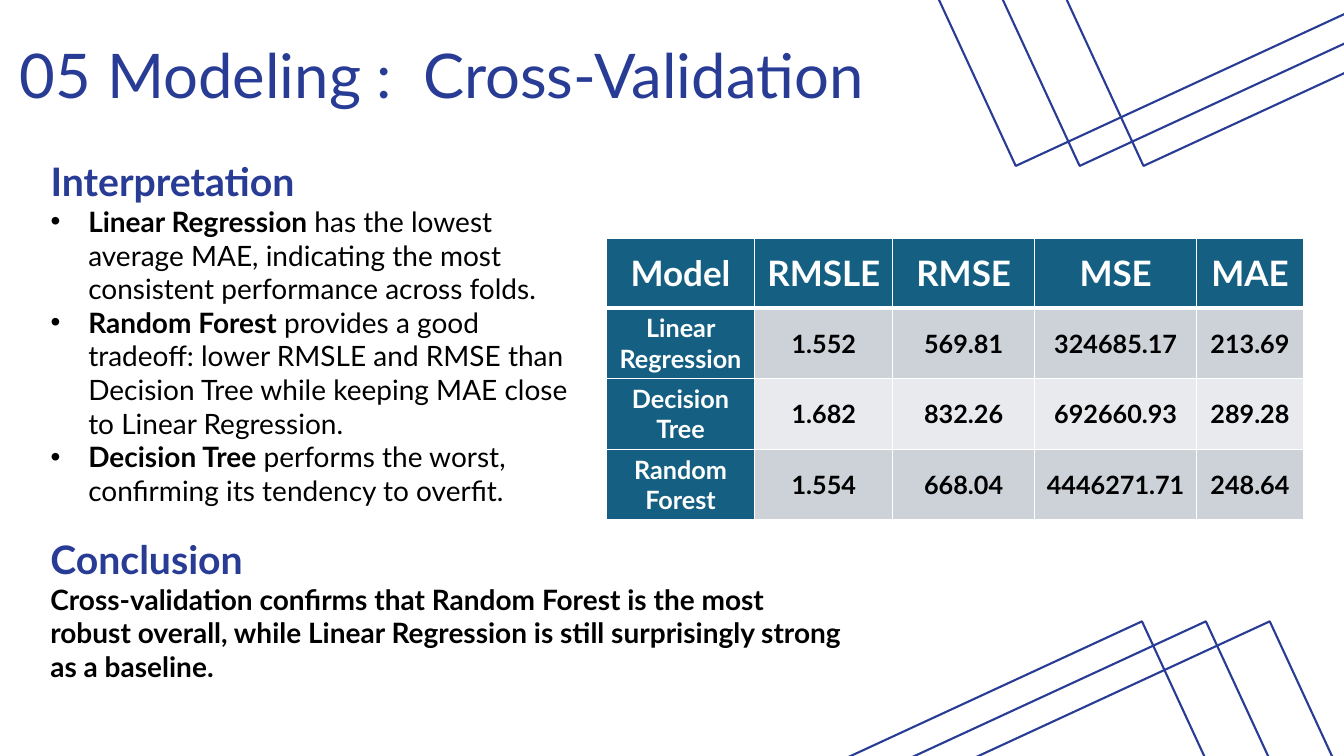
from lxml import etree
from pptx import Presentation
from pptx.dml.color import RGBColor
from pptx.enum.shapes import MSO_SHAPE
from pptx.enum.text import MSO_ANCHOR, MSO_AUTO_SIZE, PP_ALIGN
from pptx.oxml.ns import qn
from pptx.util import Cm, Pt

NAVY = RGBColor(0x28, 0x3C, 0x95)
TEAL = RGBColor(0x15, 0x60, 0x82)
GREY = RGBColor(0xCC, 0xD2, 0xD8)
PALE = RGBColor(0xE8, 0xEA, 0xED)
BLACK = RGBColor(0, 0, 0)
WHITE = RGBColor(0xFF, 0xFF, 0xFF)

LEFT, CENTER = PP_ALIGN.LEFT, PP_ALIGN.CENTER
MIDDLE, TOP = MSO_ANCHOR.MIDDLE, MSO_ANCHOR.TOP
NO_AUTOFIT = MSO_AUTO_SIZE.NONE
RECTANGLE = MSO_SHAPE.RECTANGLE

TITLE_FORMAT = {"size": Pt(44), "bold": False}
HEADING_FORMAT = {"size": Pt(28), "bold": True}
STRONG_FORMAT = {"size": Pt(20), "bold": True}
PLAIN_FORMAT = {"size": Pt(20), "bold": False}
HEADER_FORMAT = {"size": Pt(25), "bold": True}
CELL_FORMAT = {"size": Pt(18), "bold": True}

FINDINGS = [
    ("Linear Regression", " has the lowest average MAE, indicating the most "
     "consistent performance across folds."),
    ("Random Forest", " provides a good tradeoff: lower RMSLE and RMSE than "
     "Decision Tree while keeping MAE close to Linear Regression."),
    ("Decision Tree", " performs the worst, confirming its tendency to overfit."),
]
CONCLUSION = ("Cross-validation confirms that Random Forest is the most robust overall, "
              "while Linear Regression is still surprisingly strong as a baseline.")
SCORES = [
    ("Model", "RMSLE", "RMSE", "MSE", "MAE"),
    ("Linear Regression", "1.552", "569.81", "324685.17", "213.69"),
    ("Decision Tree", "1.682", "832.26", "692660.93", "289.28"),
    ("Random Forest", "1.554", "668.04", "4446271.71", "248.64"),
]
COLUMN_WIDTHS = (3.74, 3.48, 3.57, 4.09, 2.68)
ROW_HEIGHT = 1.76


def place(shape, left, top, width, height):
    shape.left, shape.top = Cm(left), Cm(top)
    shape.width, shape.height = Cm(width), Cm(height)


def add_run(paragraph, text, color, text_format):
    run = paragraph.add_run()
    run.text = text
    run.font.name = "Lato"
    run.font.color.rgb = color
    for name, value in text_format.items():
        setattr(run.font, name, value)


def format_paragraph(paragraph, alignment=LEFT, line_spacing=1.0):
    values = {"alignment": alignment, "line_spacing": line_spacing,
              "space_before": Pt(0), "space_after": Pt(0)}
    for name, value in values.items():
        setattr(paragraph, name, value)


def set_bullet(paragraph, character=None, indent=0.0):
    """Give the paragraph a hanging bullet, or none without a character."""
    properties = paragraph._p.get_or_add_pPr()
    properties.set("marL", str(Cm(indent)))
    properties.set("indent", str(-Cm(indent)))
    if character:
        font = etree.SubElement(properties, qn("a:buFont"))
        font.set("typeface", "Arial")
        etree.SubElement(properties, qn("a:buChar")).set("char", character)
    else:
        etree.SubElement(properties, qn("a:buNone"))


def add_title(slide, text):
    title = slide.shapes.title
    place(title, 0.25, 0.15, 30, 3.68)
    title.text_frame.vertical_anchor = MIDDLE
    title.text_frame.auto_size = NO_AUTOFIT
    paragraph = title.text_frame.paragraphs[0]
    format_paragraph(paragraph, line_spacing=0.9)
    add_run(paragraph, text, NAVY, TITLE_FORMAT)


def start_section(shape, heading):
    """Set up the text frame, write its heading and return the frame."""
    frame = shape.text_frame
    frame.word_wrap = True
    frame.auto_size = NO_AUTOFIT
    frame.vertical_anchor = TOP
    paragraph = frame.paragraphs[0]
    set_bullet(paragraph)
    format_paragraph(paragraph)
    add_run(paragraph, heading, NAVY, HEADING_FORMAT)
    return frame


def add_interpretation(slide):
    body = slide.placeholders[1]
    place(body, 1.02, 3.84, 13.72, 9.14)
    frame = start_section(body, "Interpretation")
    for model, finding in FINDINGS:
        paragraph = frame.add_paragraph()
        set_bullet(paragraph, "•", 0.95)
        format_paragraph(paragraph)
        add_run(paragraph, model, BLACK, STRONG_FORMAT)
        add_run(paragraph, finding, BLACK, PLAIN_FORMAT)


def add_conclusion(slide):
    box = slide.shapes.add_textbox(Cm(1.02), Cm(13.36), Cm(20.45), Cm(4.01))
    paragraph = start_section(box, "Conclusion").add_paragraph()
    format_paragraph(paragraph)
    add_run(paragraph, CONCLUSION, BLACK, STRONG_FORMAT)


def set_borders(cell, top, bottom):
    """Draw white cell borders; top and bottom are widths in points."""
    properties = cell._tc.get_or_add_tcPr()
    for side, width in (("L", 1), ("R", 1), ("T", top), ("B", bottom)):
        line = etree.SubElement(properties, qn(f"a:ln{side}"))
        line.set("w", str(Pt(width)))
        fill = etree.SubElement(line, qn("a:solidFill"))
        etree.SubElement(fill, qn("a:srgbClr")).set("val", str(WHITE))


def fill_cell(cell, text, row, column):
    is_label = row == 0 or column == 0
    set_borders(cell, top=3 if row == 1 else 1, bottom=3 if row == 0 else 1)
    cell.fill.solid()
    cell.fill.fore_color.rgb = TEAL if is_label else (GREY if row % 2 else PALE)
    cell.vertical_anchor = MIDDLE
    paragraph = cell.text_frame.paragraphs[0]
    format_paragraph(paragraph, CENTER)
    add_run(paragraph, text, WHITE if is_label else BLACK,
            HEADER_FORMAT if row == 0 else CELL_FORMAT)


def add_score_table(slide):
    frame = slide.shapes.add_table(
        len(SCORES), len(COLUMN_WIDTHS), Cm(15.28), Cm(6),
        Cm(sum(COLUMN_WIDTHS)), Cm(ROW_HEIGHT * len(SCORES)))
    table = frame.table
    for column, width in zip(table.columns, COLUMN_WIDTHS):
        column.width = Cm(width)
    for row, values in enumerate(SCORES):
        table.rows[row].height = Cm(ROW_HEIGHT)
        for column, text in enumerate(values):
            fill_cell(table.cell(row, column), text, row, column)


def add_tilted_outlines(slide, left, top, count=3, step=1.61):
    for index in range(count):
        outline = slide.shapes.add_shape(
            RECTANGLE, Cm(left + index * step), Cm(top), Cm(14.15), Cm(14.43))
        outline.rotation = 335.2
        outline.shadow.inherit = False
        outline.fill.background()
        outline.line.color.rgb = NAVY
        outline.line.width = Pt(1.5)


def main():
    presentation = Presentation()
    presentation.slide_width, presentation.slide_height = Cm(33.87), Cm(19.05)
    slide = presentation.slides.add_slide(presentation.slide_layouts[1])
    add_title(slide, "05 Modeling : \tCross-Validation")
    add_score_table(slide)
    add_conclusion(slide)
    add_interpretation(slide)
    add_tilted_outlines(slide, 21.92, -12.55)
    add_tilted_outlines(slide, 18.31, 17.96)
    presentation.save("out.pptx")


if __name__ == "__main__":
    main()
